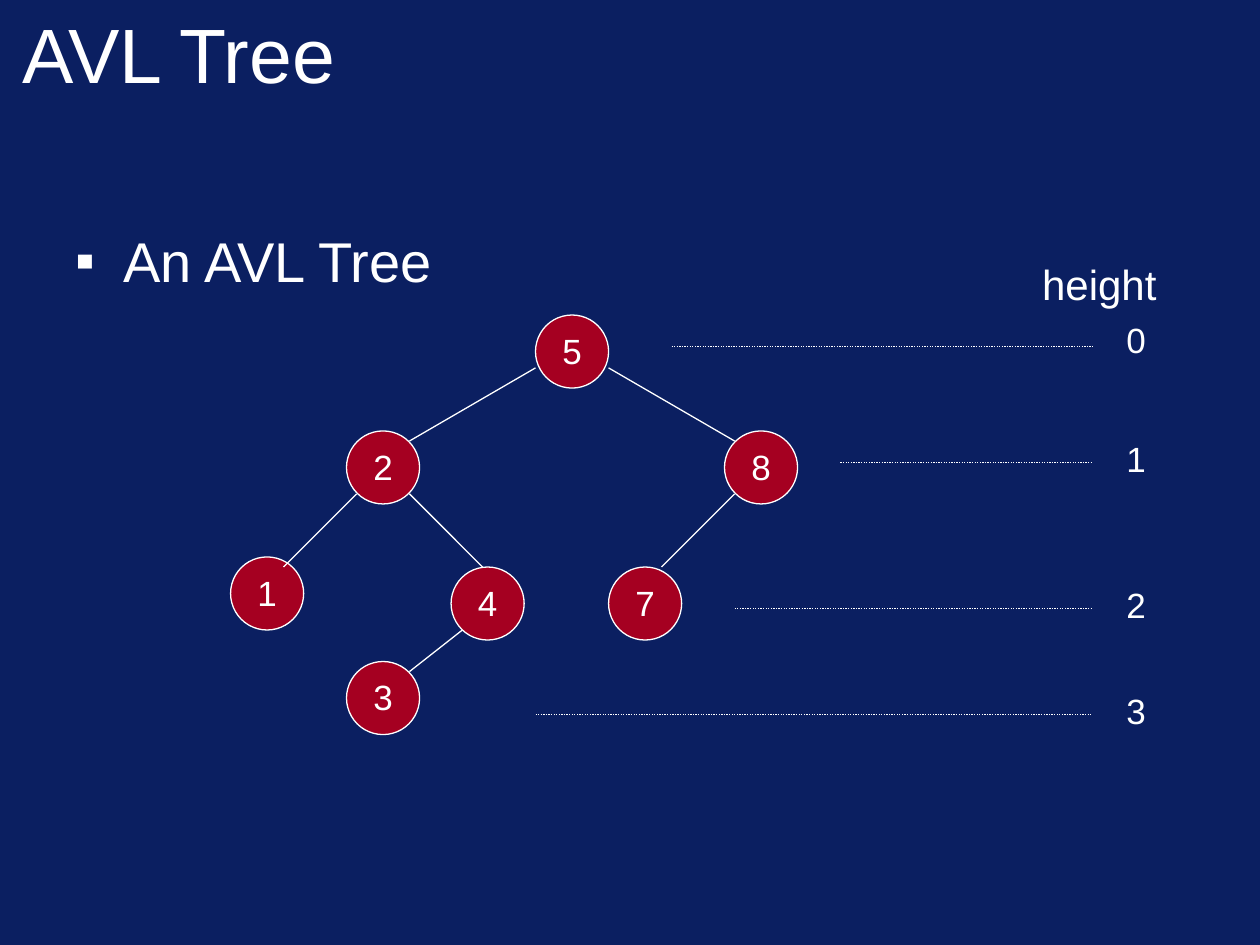
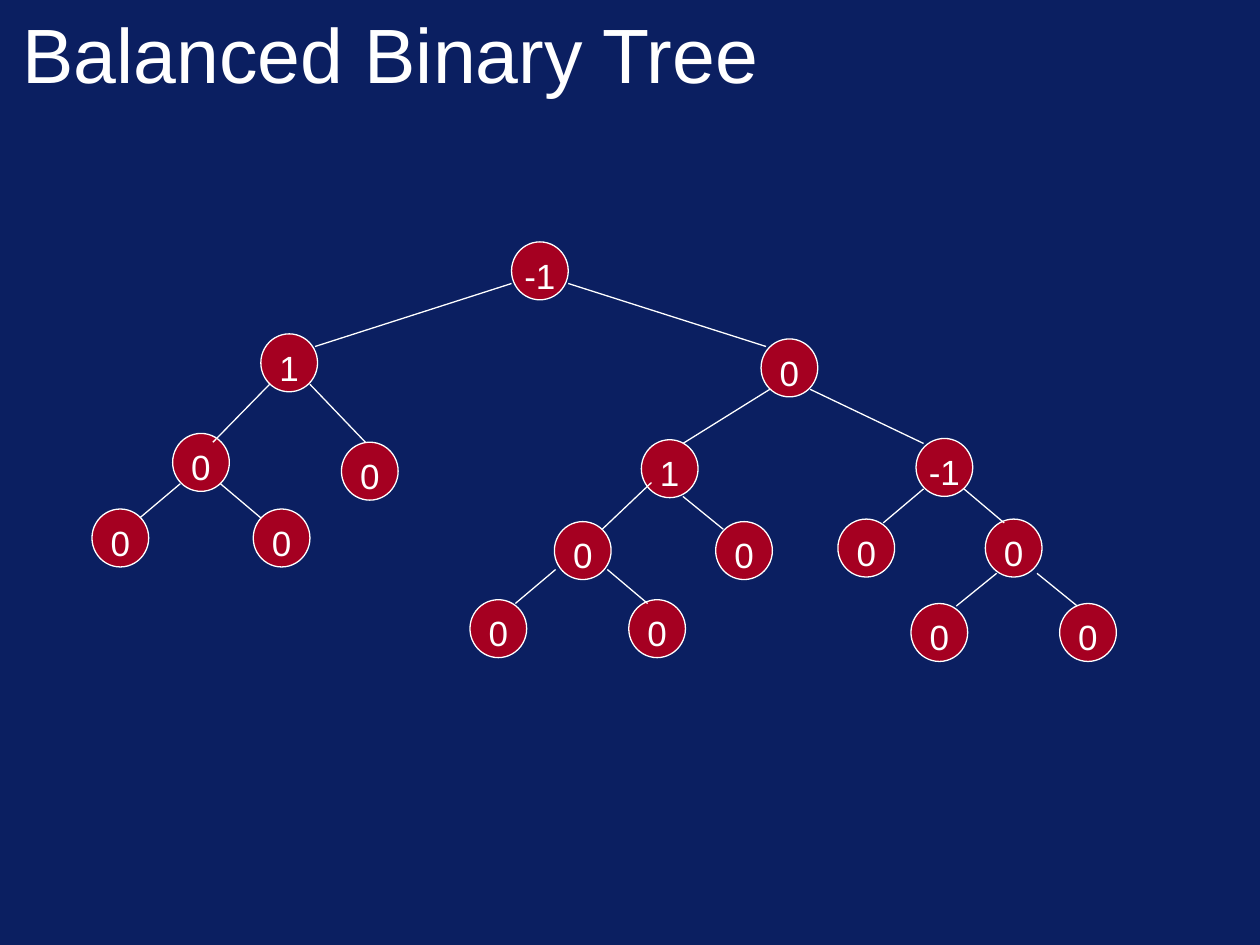
"""Build two slides that show an AVL tree and a balanced binary tree."""
from lxml.etree import SubElement
from pptx import Presentation
from pptx.dml.color import RGBColor
from pptx.enum.dml import MSO_LINE
from pptx.enum.shapes import MSO_CONNECTOR, MSO_SHAPE
from pptx.enum.text import MSO_ANCHOR, PP_ALIGN
from pptx.oxml.ns import qn
from pptx.util import Inches, Pt

NAVY = RGBColor(0x0B, 0x1F, 0x61)
RED = RGBColor(0xA5, 0x00, 0x21)
WHITE = RGBColor(0xFF, 0xFF, 0xFF)
FONT = "Arial"

AVL_NODES = [
    ("5", 4.25, 2.5), ("2", 2.75, 3.42), ("8", 5.75, 3.42), ("1", 1.83, 4.42),
    ("4", 3.58, 4.5), ("7", 4.83, 4.5), ("3", 2.75, 5.25),
]
AVL_EDGES = [
    (4.25, 2.92, 3.25, 3.5), (4.83, 2.92, 5.83, 3.5), (2.83, 3.92, 2.25, 4.5),
    (3.25, 3.92, 3.83, 4.5), (5.83, 3.92, 5.25, 4.5), (3.67, 5, 3.25, 5.33),
]
HEIGHT_LEVELS = [(5.33, 2.75, 2.48), (6.67, 3.67, 3.42), (5.83, 4.83, 4.58), (4.25, 5.67, 5.42)]

BALANCED_NODES = [
    ("-1", 4.06, 1.92), ("1", 2.07, 2.65), ("0", 6.04, 2.69),
    ("0", 1.37, 3.44), ("0", 2.71, 3.51), ("1", 5.09, 3.49), ("-1", 7.27, 3.48),
    ("0", 0.73, 4.04), ("0", 2.01, 4.04), ("0", 4.4, 4.14), ("0", 5.68, 4.14),
    ("0", 6.65, 4.12), ("0", 7.82, 4.12),
    ("0", 3.73, 4.76), ("0", 4.99, 4.76), ("0", 7.23, 4.79), ("0", 8.41, 4.79),
]
BALANCED_EDGES = [
    (4.06, 2.25, 2.5, 2.75), (4.51, 2.25, 6.08, 2.75),
    (2.14, 3.05, 1.69, 3.51), (2.46, 3.05, 2.9, 3.51),
    (6.11, 3.09, 5.42, 3.52), (6.43, 3.09, 7.33, 3.52),
    (1.43, 3.84, 1.11, 4.11), (1.75, 3.84, 2.07, 4.11),
    (5.17, 3.83, 4.78, 4.2), (5.42, 3.94, 5.74, 4.2),
    (7.33, 3.88, 7.01, 4.15), (7.65, 3.88, 7.97, 4.15),
    (4.41, 4.52, 4.09, 4.79), (4.82, 4.52, 5.14, 4.79),
    (7.91, 4.55, 7.59, 4.81), (8.23, 4.55, 8.55, 4.81),
]


def write_text(shape, text, size=20, align=PP_ALIGN.CENTER, anchor=MSO_ANCHOR.TOP,
               wrap=False, bullet=None, indent=0.38):
    """Write one formatted paragraph into a shape."""
    frame = shape.text_frame
    frame.word_wrap = wrap
    frame.vertical_anchor = anchor
    paragraph = frame.paragraphs[0]
    paragraph.text = text
    paragraph.alignment = align
    if bullet:
        properties = paragraph._p.get_or_add_pPr()
        properties.set("marL", str(Inches(indent)))
        properties.set("indent", str(-Inches(indent)))
        SubElement(properties, qn("a:buFont"), typeface=FONT)
        SubElement(properties, qn("a:buChar"), char=bullet)
    font = paragraph.runs[0].font
    font.name = FONT
    font.size = Pt(size)
    font.color.rgb = WHITE


class TreeDeck:
    """Hold the presentation, its style and the current slide."""

    def __init__(self):
        """Start an empty presentation."""
        self.presentation = Presentation()
        self.presentation.slide_width = Inches(10)
        self.presentation.slide_height = Inches(7.5)
        self.slide = None

    def add_slide(self, title):
        """Add a navy slide with its title."""
        self.slide = self.presentation.slides.add_slide(self.presentation.slide_layouts[6])
        self.slide.background.fill.solid()
        self.slide.background.fill.fore_color.rgb = NAVY
        self.add_text(title, 0.08, -0.08, 9, 1, size=44, align=PP_ALIGN.LEFT,
                      anchor=MSO_ANCHOR.MIDDLE, wrap=True)

    def add_text(self, text, left, top, width, height, **text_format):
        """Add a text box."""
        box = self.slide.shapes.add_textbox(Inches(left), Inches(top), Inches(width), Inches(height))
        write_text(box, text, **text_format)

    def add_node(self, label, left, top, width, height):
        """Add a labelled tree node."""
        node = self.slide.shapes.add_shape(
            MSO_SHAPE.OVAL, Inches(left), Inches(top), Inches(width), Inches(height))
        node.shadow.inherit = False
        node.fill.solid()
        node.fill.fore_color.rgb = RED
        node.line.color.rgb = WHITE
        node.line.width = Pt(0.75)
        frame = node.text_frame
        frame.margin_left = frame.margin_right = frame.margin_bottom = 0
        frame.margin_top = Inches(0.03)
        write_text(node, label)

    def add_line(self, start_x, start_y, end_x, end_y, dash=None):
        """Add a thin white line."""
        line = self.slide.shapes.add_connector(
            MSO_CONNECTOR.STRAIGHT, Inches(start_x), Inches(start_y), Inches(end_x), Inches(end_y))
        line.line.color.rgb = WHITE
        line.line.width = Pt(0.75)
        if dash:
            line.line.dash_style = dash
        SubElement(line._element.spPr, qn("a:effectLst"))

    def add_tree(self, nodes, edges, width, height):
        """Add all nodes of a tree, then its edges."""
        for label, left, top in nodes:
            self.add_node(label, left, top, width, height)
        for edge in edges:
            self.add_line(*edge)


def main():
    """Build both slides and save them."""
    deck = TreeDeck()

    deck.add_slide("AVL Tree")
    deck.add_text("An AVL Tree", 0.5, 1.75, 9, 0.67, size=32, align=PP_ALIGN.LEFT,
                  wrap=True, bullet="▪")
    deck.add_tree(AVL_NODES, AVL_EDGES, 0.58, 0.58)
    deck.add_text("height", 8.17, 2, 1.11, 0.5, size=24)
    for level, (line_left, line_top, label_top) in enumerate(HEIGHT_LEVELS):
        deck.add_line(line_left, line_top, 8.67, line_top, dash=MSO_LINE.ROUND_DOT)
        deck.add_text(str(level), 8.84, label_top, 0.35, 0.44)

    deck.add_slide("Balanced Binary Tree")
    deck.add_tree(BALANCED_NODES, BALANCED_EDGES, 0.45, 0.46)

    deck.presentation.save("out.pptx")


if __name__ == "__main__":
    main()
